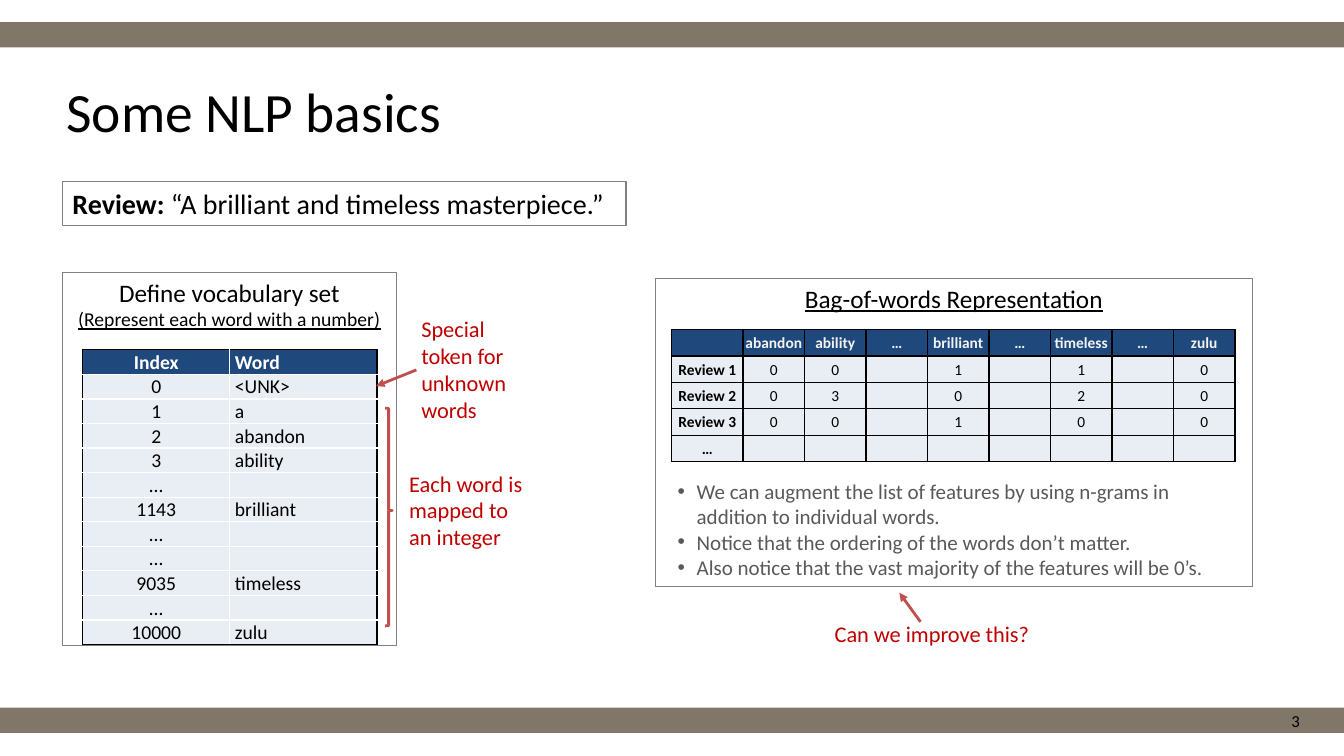
from lxml.etree import SubElement
from pptx import Presentation
from pptx.dml.color import RGBColor
from pptx.enum.shapes import MSO_CONNECTOR as CONN, MSO_SHAPE as SHAPE
from pptx.enum.text import MSO_ANCHOR as ANCHOR, MSO_AUTO_SIZE as AUTO, PP_ALIGN as ALIGN
from pptx.oxml.ns import qn
from pptx.util import Inches, Pt

BLACK, WHITE, GREY, BAR = "000000", "FFFFFF", "808080", "564A38"
NAVY, PALE, RED, NOTE, BODY = "1F497D", "E9EDF4", "C0504D", "C00000", "595959"


def rgb(value):
    """Turn a hex string into a colour."""
    return RGBColor.from_string(value)


class Deck:
    """Draws styled elements on the current slide."""

    font = "Calibri"

    def __init__(self, s):
        self.s = s

    def style(self, p, size, color=BLACK, bold=False, underline=False, align=ALIGN.LEFT):
        """Format a paragraph and all its runs."""
        p.alignment = align
        for r in p.runs:
            f = r.font
            f.name, f.size, f.bold, f.underline = self.font, Pt(size), bold, underline
            f.color.rgb = rgb(color)

    def place(self, sp, at):
        """Move a placeholder and fix its text size."""
        sp.left, sp.top, sp.width, sp.height = map(Inches, at)
        sp.text_frame.auto_size = AUTO.NONE
        return sp.text_frame

    def title(self, at, text):
        """Fill the title placeholder."""
        tf = self.place(self.s.shapes.title, at)
        tf.text = text
        tf.vertical_anchor = ANCHOR.MIDDLE
        tf.paragraphs[0].line_spacing = 0.9
        self.style(tf.paragraphs[0], 39.6)

    def bullets(self, at, items, size):
        """Fill the body placeholder with a bulleted list."""
        tf = self.place(self.s.placeholders[1], at)
        tf.text = "\n".join(items)
        for p in tf.paragraphs:
            self.style(p, size, BODY)
            p.space_before = Pt(0)
            pPr = p._p.get_or_add_pPr()
            pPr.set("marL", str(Inches(0.31)))
            pPr.set("indent", str(Inches(-0.19)))

    def shape(self, kind, at, line=None, width=0.75, fill=None, alpha=100):
        """Add a preset shape without shadow."""
        sp = self.s.shapes.add_shape(kind, *map(Inches, at))
        sp.shadow.inherit = False
        if fill:
            sp.fill.solid()
            sp.fill.fore_color.rgb = rgb(fill)
            clr = sp.element.spPr.find(".//" + qn("a:srgbClr"))
            SubElement(clr, qn("a:alpha"), val=str(alpha * 1000))
        else:
            sp.fill.background()
        if line:
            sp.line.color.rgb = rgb(line)
            sp.line.width = Pt(width)
        else:
            sp.line.fill.background()
        return sp

    def frame(self, at, heading, sizes, width=0.75):
        """Add an outlined box with heading lines at its top."""
        tf = self.shape(SHAPE.RECTANGLE, at, GREY, width).text_frame
        tf.word_wrap = True
        tf.vertical_anchor = ANCHOR.TOP
        tf.text = heading
        for p, size in zip(tf.paragraphs, sizes):
            self.style(p, size, align=ALIGN.CENTER)
        return tf

    def text(self, at, text, size=16, color=NOTE, align=ALIGN.LEFT, anchor=ANCHOR.TOP):
        """Add a wrapped text box."""
        tf = self.s.shapes.add_textbox(*map(Inches, at)).text_frame
        tf.word_wrap = True
        tf.vertical_anchor = anchor
        tf.text = text
        self.style(tf.paragraphs[0], size, color, align=align)

    def arrow(self, start, end):
        """Add a red arrow."""
        points = map(Inches, start + end)
        c = self.s.shapes.add_connector(CONN.STRAIGHT, *points)
        c.line.color.rgb = rgb(RED)
        c.line.width = Pt(2)
        SubElement(c.line._get_or_add_ln(), qn("a:tailEnd"), type="triangle")
        SubElement(c.element.spPr, qn("a:effectLst"))

    def border(self, cell, colors):
        """Draw the left, right, top and bottom cell borders."""
        tcPr = cell._tc.get_or_add_tcPr()
        for side, color in zip("LRTB", colors):
            ln = SubElement(tcPr, qn("a:ln" + side), w=str(Pt(1)))
            SubElement(SubElement(ln, qn("a:solidFill")), qn("a:srgbClr"), val=color)

    def table(self, at, rows, widths, size, inner, head, anchor, left_cols=(), bold_cols=()):
        """Add a table with a dark header and a black outer border."""
        n, m = len(rows), len(widths)
        table = self.s.shapes.add_table(n, m, *map(Inches, at)).table
        table.first_row = table.horz_banding = False
        for col, width in zip(table.columns, widths):
            col.width = Inches(width)
        for i, row in enumerate(rows):
            table.rows[i].height = Inches(at[3] / n)
            for j, value in enumerate(row):
                cell = table.cell(i, j)
                left = j in left_cols
                cell.margin_left = Inches(0.05 if left else 0.01)
                cell.margin_right = cell.margin_top = Inches(0.01)
                cell.margin_bottom = 0
                cell.vertical_anchor = anchor
                edges = (j == 0, j == m - 1, i == 0, i == n - 1)
                self.border(cell, [BLACK if e else inner for e in edges])
                cell.fill.solid()
                cell.fill.fore_color.rgb = rgb(PALE if i else NAVY)
                p = cell.text_frame.paragraphs[0]
                if value:
                    p.text = value
                    self.style(p, size, BLACK if i else head, i == 0 or j in bold_cols,
                               align=ALIGN.LEFT if left else ALIGN.CENTER)
                else:
                    SubElement(p._p, qn("a:endParaRPr"), sz=str(size * 100))


def main():
    """Build the slide."""
    prs = Presentation()
    prs.slide_width, prs.slide_height = Inches(13.33), Inches(7.5)
    d = Deck(prs.slides.add_slide(prs.slide_layouts[1]))

    for top in (0.22, 7.02):
        d.shape(SHAPE.RECTANGLE, (0, top, 13.33, 0.25), fill=BAR, alpha=75)
    d.text((12.3, 6.95, 0.69, 0.4), "3", 12, BLACK, ALIGN.RIGHT, ANCHOR.MIDDLE)
    d.title((0.56, 0.77, 5.47, 0.74), "Some NLP basics")

    review = d.frame((0.62, 1.8, 5.59, 0.44), "Review: ", [20], 1).paragraphs[0]
    review.add_run().text = "“A brilliant and timeless masterpiece.”"
    d.style(review, 20)
    review.runs[0].font.bold = True

    vocabulary = d.frame((0.62, 2.7, 3.31, 3.7),
                         "Define vocabulary set\n(Represent each word with a number)", [18, 14])
    vocabulary.paragraphs[1].runs[0].font.underline = True
    words = [("Index", "Word"), ("0", "<UNK>"), ("1", "a"), ("2", "abandon"),
             ("3", "ability"), ("…", ""), ("1143", "brilliant"), ("…", ""), ("…", ""),
             ("9035", "timeless"), ("…", ""), ("10000", "zulu")]
    d.table((0.82, 3.47, 2.92, 2.86), words, [1.46] * 2, 14, WHITE, WHITE,
            ANCHOR.BOTTOM, left_cols=[1])

    brace = d.shape(SHAPE.RIGHT_BRACE, (3.82, 4.05, 0.07, 2.16), RED, 2)
    brace.adjustments[0], brace.adjustments[1] = 0.08, 0.47
    d.arrow((4.13, 3.67), (3.73, 3.83))
    d.text((4.08, 3.08, 1.35, 1.18), "Special token for unknown words")
    d.text((3.96, 4.61, 1.35, 0.91), "Each word is mapped to an integer")

    bag = d.frame((6.5, 2.76, 5.92, 3.06), "Bag-of-words Representation", [18])
    bag.paragraphs[0].runs[0].font.underline = True
    features = ["", "abandon", "ability", "…", "brilliant", "…", "timeless", "…", "zulu"]
    counts = [("0", "0", "", "1", "", "1", "", "0"),
              ("0", "3", "", "0", "", "2", "", "0"),
              ("0", "0", "", "1", "", "0", "", "0")]
    reviews = [(f"Review {i}", *row) for i, row in enumerate(counts, 1)]
    d.table((6.66, 3.27, 5.59, 1.31), [features, *reviews, ["…"] + [""] * 8],
            [0.71] + [0.61] * 8, 11, BLACK, "F2F2F2", ANCHOR.MIDDLE, bold_cols=[0])
    d.bullets((6.5, 4.7, 5.92, 1.1), [
        "We can augment the list of features by using n-grams in addition to individual words.",
        "Notice that the ordering of the words don’t matter.",
        "Also notice that the vast majority of the features will be 0’s."], 15)

    d.text((8.18, 6.1, 2.27, 0.37), "Can we improve this?")
    d.arrow((9.13, 6.17), (8.92, 5.88))
    prs.save("out.pptx")


if __name__ == "__main__":
    main()
